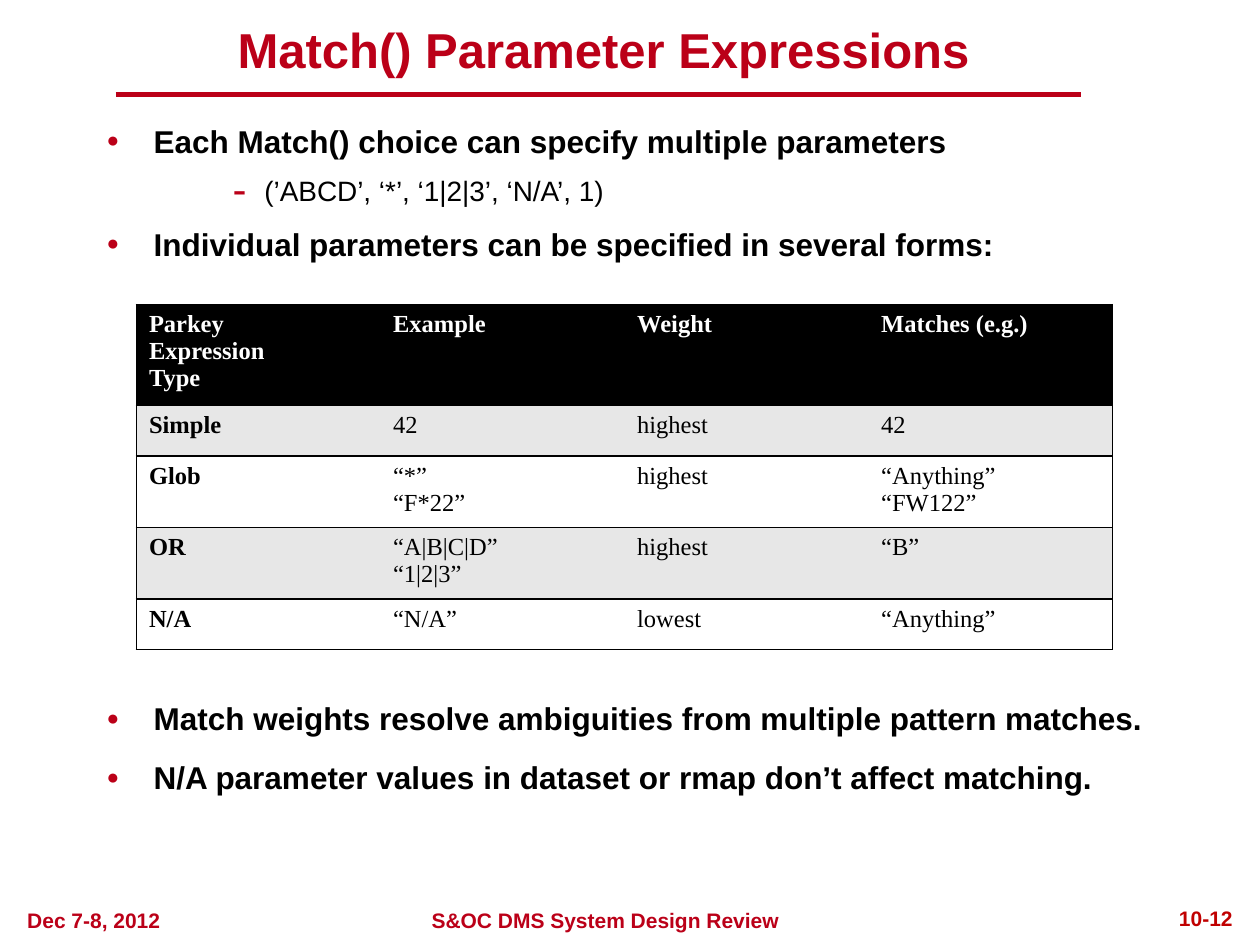
"""Build the slide on Match() parameter expressions."""
import lxml.etree
import pptx
import pptx.dml.color
import pptx.enum.shapes
import pptx.enum.text
import pptx.oxml.ns
import pptx.util

Cm = pptx.util.Cm
Pt = pptx.util.Pt
RGBColor = pptx.dml.color.RGBColor
ALIGN = pptx.enum.text.PP_ALIGN
ANCHOR = pptx.enum.text.MSO_ANCHOR
qn = pptx.oxml.ns.qn

RED = RGBColor(0xBB, 0x00, 0x18)
PAGE_RED = RGBColor(0xC0, 0x00, 0x00)
BLACK = RGBColor(0x00, 0x00, 0x00)
WHITE = RGBColor(0xFF, 0xFF, 0xFF)
GREY = RGBColor(0xE7, 0xE7, 0xE7)


def write(frame, text, size=18, font="Arial", color=BLACK, bold=True, align=ALIGN.LEFT,
          before=0, after=0, spacing=None, bullet=None, bullet_size=67, margin=0.95, hanging=0.95):
    for line in text.split("\n"):
        para = frame.paragraphs[0]
        if para.runs:
            para = frame.add_paragraph()
        para.alignment = align
        para.space_before = Pt(before)
        para.space_after = Pt(after)
        if spacing:
            para.line_spacing = spacing
        span = para.add_run()
        span.text = line
        span.font.size = Pt(size)
        span.font.name = font
        span.font.bold = bold
        span.font.color.rgb = color
        if bullet:
            props = para._p.get_or_add_pPr()
            props.set("marL", str(Cm(margin)))
            props.set("indent", str(-Cm(hanging)))
            tint = lxml.etree.SubElement(props, qn("a:buClr"))
            lxml.etree.SubElement(tint, qn("a:srgbClr"), val=str(RED))
            lxml.etree.SubElement(props, qn("a:buSzPct"), val=str(bullet_size * 1000))
            lxml.etree.SubElement(props, qn("a:buFont"), typeface="Arial")
            lxml.etree.SubElement(props, qn("a:buChar"), char=bullet)


def add_frame(page, left, top, width, height, anchor=ANCHOR.TOP):
    box = page.shapes.add_textbox(Cm(left), Cm(top), Cm(width), Cm(height))
    box.text_frame.word_wrap = True
    box.text_frame.vertical_anchor = anchor
    return box.text_frame


deck = pptx.Presentation()
deck.slide_width = Cm(25.4)
deck.slide_height = Cm(19.05)
page = deck.slides.add_slide(deck.slide_layouts[6])

rule = page.shapes.add_connector(
    pptx.enum.shapes.MSO_CONNECTOR.STRAIGHT, Cm(2.33), Cm(1.9), Cm(21.8), Cm(1.9))
rule.line.color.rgb = RED
rule.line.width = Pt(3)
lxml.etree.SubElement(rule._element.spPr, qn("a:effectLst"))

title = add_frame(page, 2.54, 0.43, 19.25, 1.12, ANCHOR.MIDDLE)
write(title, "Match() Parameter Expressions", size=28, color=RED, align=ALIGN.CENTER)

point = {"before": 4, "after": 8, "bullet": "●"}
body = add_frame(page, 1.9, 2.33, 21.6, 4.5)
write(body, "Each Match() choice can specify multiple parameters", **point)
write(body, "(’ABCD’, ‘*’, ‘1|2|3’, ‘N/A’, 1)", size=16, bold=False, after=6,
      bullet="-", bullet_size=150, margin=3.18, hanging=0.64)
write(body, "Individual parameters can be specified in several forms:", **point)

rows = [
    ("Parkey\nExpression\nType", "Example", "Weight", "Matches (e.g.)"),
    ("Simple", "42", "highest", "42"),
    ("Glob", "“*”\n“F*22”", "highest", "“Anything”\n“FW122”"),
    ("OR", "“A|B|C|D”\n“1|2|3”", "highest", "“B”"),
    ("N/A", "“N/A”", "lowest", "“Anything”"),
]
heights = [1.25, 1.02, 1.25, 1.25, 1.02]
table = page.shapes.add_table(
    len(rows), len(rows[0]), Cm(2.75), Cm(6.14), Cm(19.69), Cm(sum(heights))).table
for column in table.columns:
    column.width = Cm(4.92)
for row_index, (texts, height) in enumerate(zip(rows, heights)):
    table.rows[row_index].height = Cm(height)
    header = row_index == 0
    fill = BLACK if header else (GREY if row_index % 2 else WHITE)
    for column_index, text in enumerate(texts):
        cell = table.cell(row_index, column_index)
        cell.fill.solid()
        cell.fill.fore_color.rgb = fill
        write(cell.text_frame, text, size=14, font="Times New Roman",
              color=WHITE if header else BLACK, bold=header or column_index == 0)
        sides = {"L": column_index == 0, "R": column_index == len(texts) - 1,
                 "T": True, "B": True}
        props = cell._tc.get_or_add_tcPr()
        for position, (side, drawn) in enumerate(sides.items()):
            border = lxml.etree.Element(qn("a:ln" + side), w=str(Pt(1)))
            if drawn:
                paint = lxml.etree.SubElement(border, qn("a:solidFill"))
                lxml.etree.SubElement(paint, qn("a:srgbClr"), val=str(BLACK))
            else:
                lxml.etree.SubElement(border, qn("a:noFill"))
            props.insert(position, border)

notes = add_frame(page, 1.9, 13.97, 21.6, 3.38)
write(notes, "Match weights resolve ambiguities from multiple pattern matches.", **point)
write(notes, "N/A parameter values in dataset or rmap don’t affect matching.", **point)

footers = [
    ("S&OC DMS System Design Review", 3.81, 16.79, RED, ALIGN.CENTER, None),
    ("Dec 7-8, 2012", 0.3, 3.5, RED, ALIGN.LEFT, None),
    ("10-12", 21.34, 3.76, PAGE_RED, ALIGN.RIGHT, 0.9),
]
for text, left, width, color, align, spacing in footers:
    footer = add_frame(page, left, 18.18, width, 0.77)
    write(footer, text, size=12, color=color, align=align, spacing=spacing)

deck.save("out.pptx")
